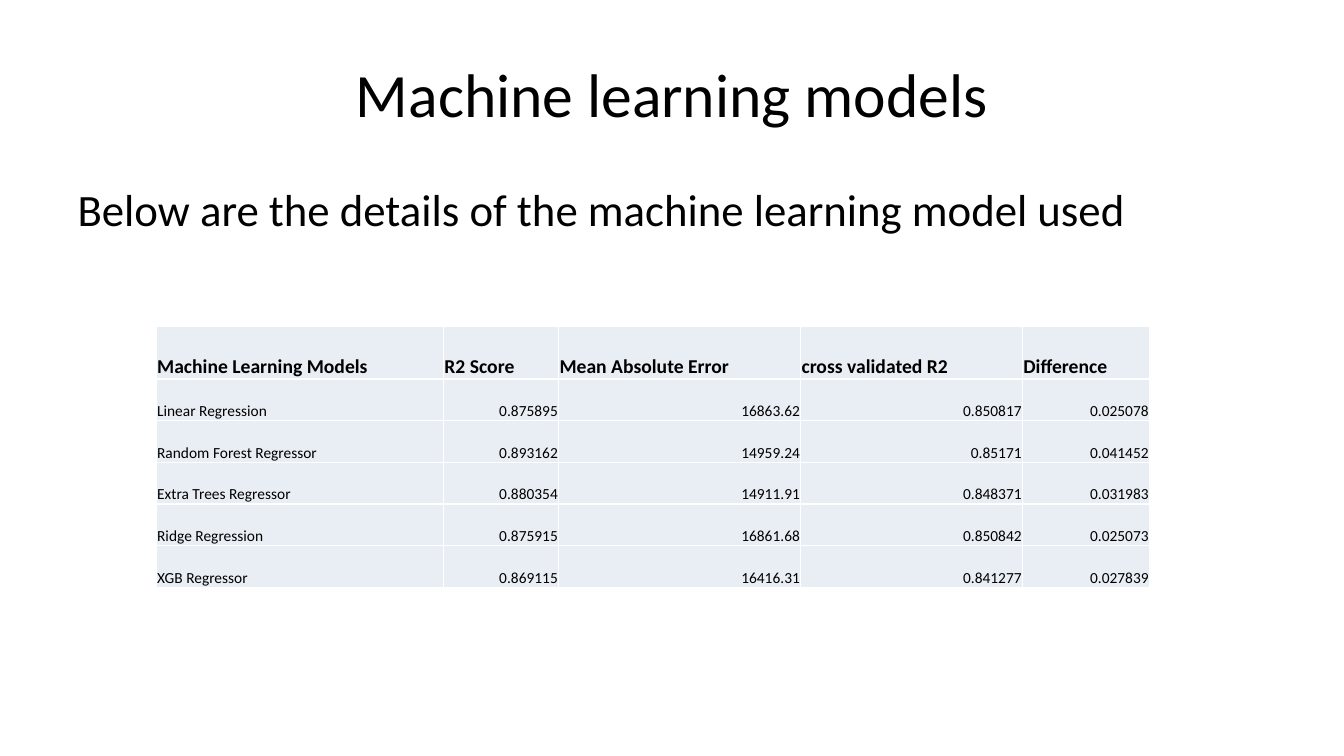
"""Build a slide that compares the scores of five machine learning models."""
from dataclasses import dataclass

from lxml.etree import SubElement
from pptx import Presentation
from pptx.dml.color import RGBColor
from pptx.enum.text import MSO_ANCHOR as Anchor, MSO_AUTO_SIZE as AutoSize, PP_ALIGN as Align
from pptx.oxml.ns import qn
from pptx.util import Cm, Pt


@dataclass(frozen=True)
class Theme:
    font: str = "Calibri"
    ink: str = "000000"
    cell: str = "E9EDF4"
    border: str = "FFFFFF"
    title: int = 44
    body: int = 32
    header: int = 14
    value: int = 11


theme = Theme()


def style_text(para, size, align, bold=False):
    para.alignment = align
    para.space_before = Pt(0)
    for span in para.runs:
        span.font.name = theme.font
        span.font.size = Pt(size)
        span.font.bold = bold
        span.font.color.rgb = RGBColor.from_string(theme.ink)


def add_borders(cell):
    properties = cell._tc.get_or_add_tcPr()
    for side in ("lnL", "lnR", "lnT", "lnB"):
        line = SubElement(properties, qn(f"a:{side}"), w=str(Pt(1)))
        fill = SubElement(line, qn("a:solidFill"))
        SubElement(fill, qn("a:srgbClr"), val=theme.border)


deck = Presentation()
deck.slide_width, deck.slide_height = Cm(33.87), Cm(19.05)
page = deck.slides.add_slide(deck.slide_layouts[1])

title, body = page.shapes.title, page.placeholders[1]
headings = [
    (title, "Machine learning models", 0.76, 3.18, theme.title, Align.CENTER, Anchor.MIDDLE),
    (body, "Below are the details of the machine learning model used",
     4.45, 12.57, theme.body, Align.LEFT, Anchor.TOP),
]
for box, words, top, height, size, align, anchor in headings:
    box.left, box.top, box.width, box.height = Cm(1.7), Cm(top), Cm(30.48), Cm(height)
    frame = box.text_frame
    frame.text = words
    frame.auto_size = AutoSize.NONE
    frame.vertical_anchor = anchor
    style_text(frame.paragraphs[0], size, align)

body_format = body.text_frame.paragraphs[0]._p.get_or_add_pPr()
body_format.set("marL", "0")
body_format.set("indent", "0")
SubElement(body_format, qn("a:buNone"))

scores = [
    ("Machine Learning Models", "R2 Score", "Mean Absolute Error", "cross validated R2", "Difference"),
    ("Linear Regression", "0.875895", "16863.62", "0.850817", "0.025078"),
    ("Random Forest Regressor", "0.893162", "14959.24", "0.85171", "0.041452"),
    ("Extra Trees Regressor", "0.880354", "14911.91", "0.848371", "0.031983"),
    ("Ridge Regression", "0.875915", "16861.68", "0.850842", "0.025073"),
    ("XGB Regressor", "0.869115", "16416.31", "0.841277", "0.027839"),
]
column_widths = [7.24, 2.9, 6.1, 5.59, 3.2]
row_heights = [1.32] + [1.05] * 5

table = page.shapes.add_table(
    len(scores), len(column_widths), Cm(3.94), Cm(8.23),
    Cm(sum(column_widths)), Cm(sum(row_heights))).table
for column, width in zip(table.columns, column_widths):
    column.width = Cm(width)
for row, height in zip(table.rows, row_heights):
    row.height = Cm(height)

for row_index, record in enumerate(scores):
    is_header = row_index == 0
    for column_index, words in enumerate(record):
        cell = table.cell(row_index, column_index)
        cell.text_frame.text = words
        cell.vertical_anchor = Anchor.BOTTOM
        cell.margin_left = cell.margin_right = cell.margin_top = Cm(0.02)
        cell.margin_bottom = 0
        add_borders(cell)
        cell.fill.solid()
        cell.fill.fore_color.rgb = RGBColor.from_string(theme.cell)
        align = Align.LEFT if is_header or column_index == 0 else Align.RIGHT
        size = theme.header if is_header else theme.value
        style_text(cell.text_frame.paragraphs[0], size, align, bold=is_header)

deck.save("out.pptx")
